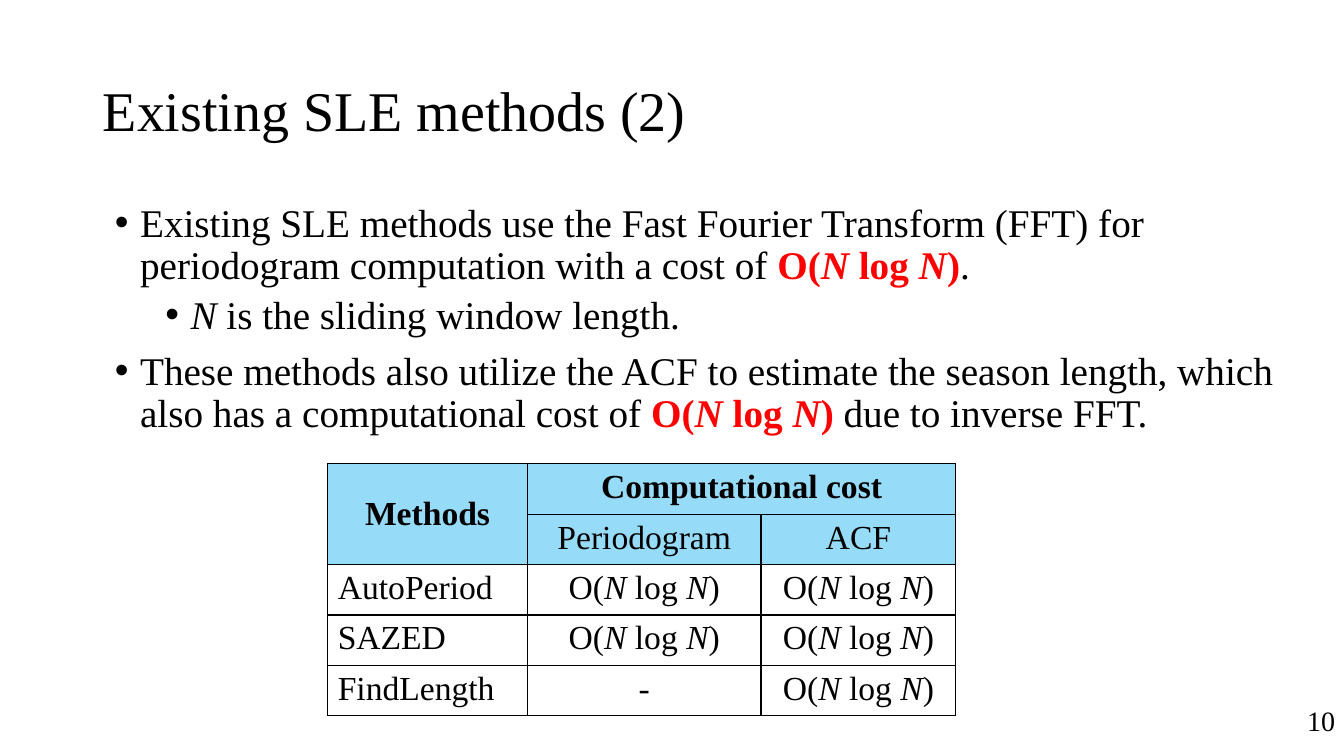
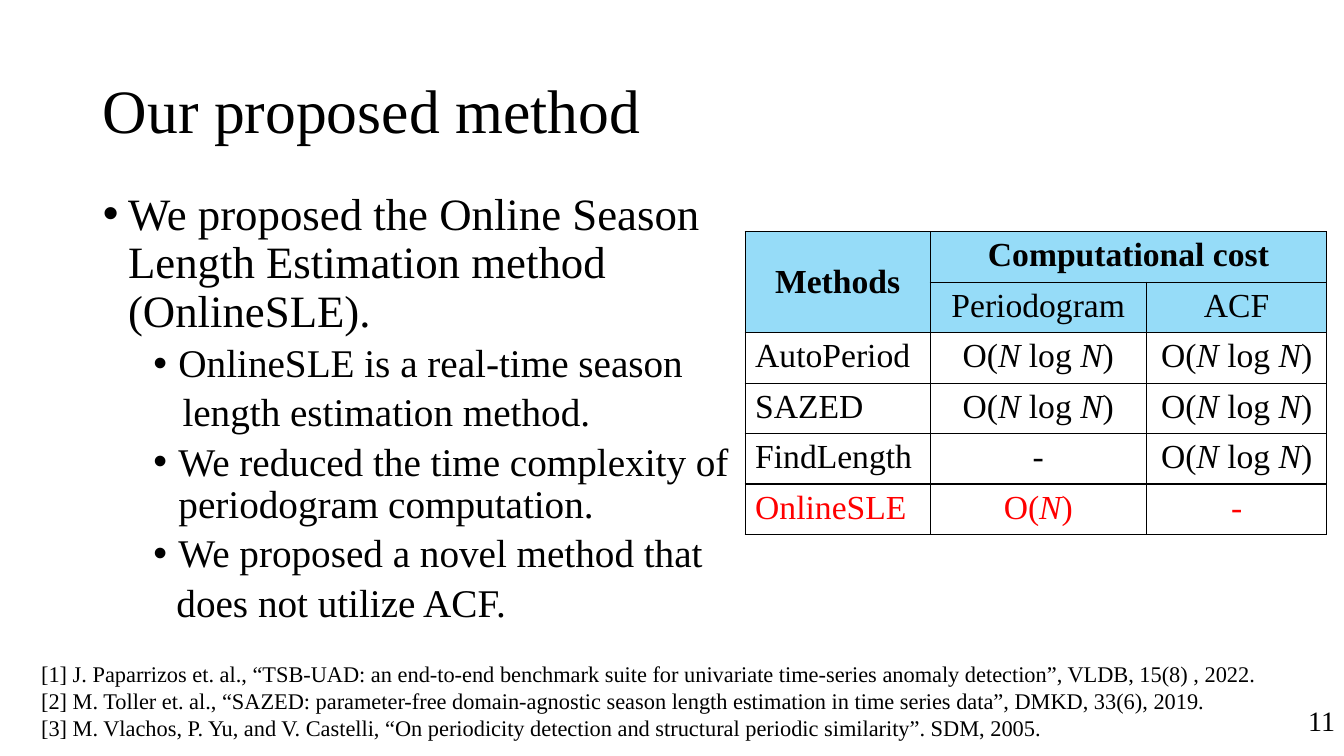
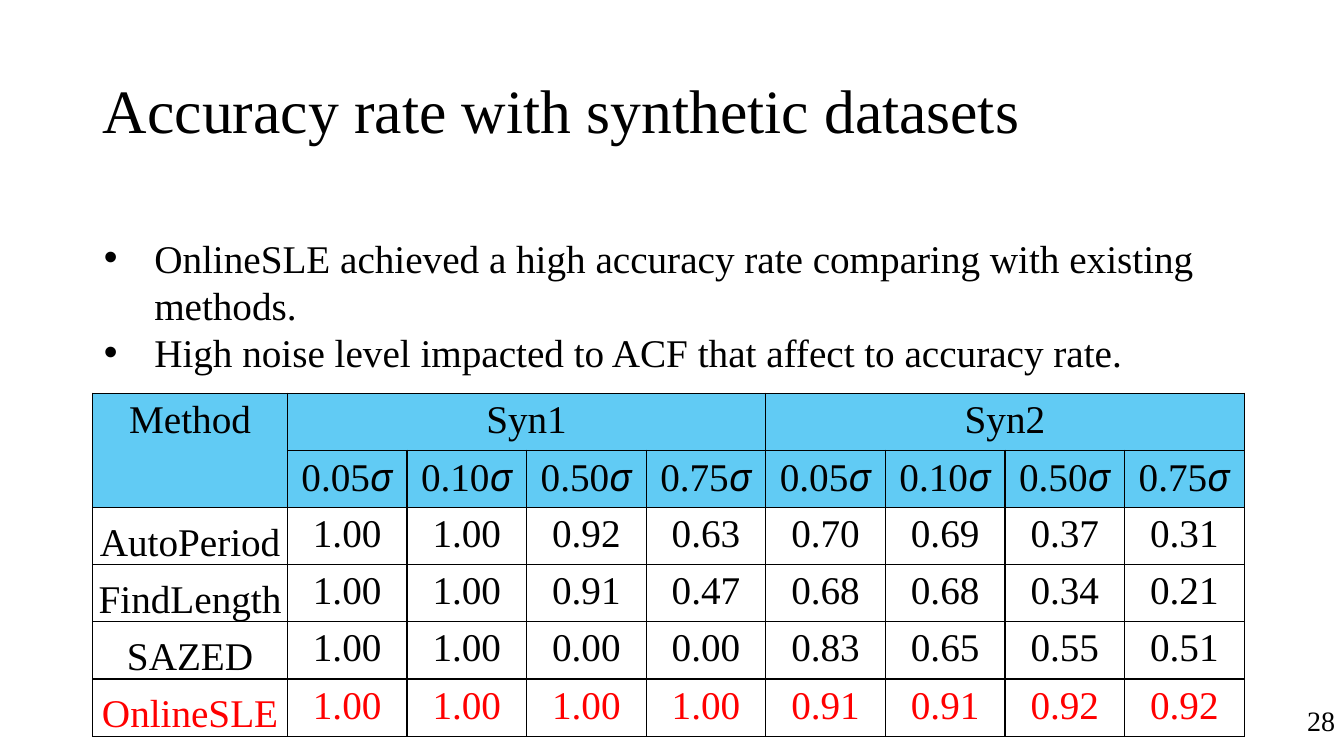
from pptx import Presentation
from pptx.dml.color import RGBColor
from pptx.enum.text import MSO_ANCHOR as Anchor, MSO_AUTO_SIZE as Auto, PP_ALIGN as Align
from pptx.oxml import parse_xml
from pptx.oxml.ns import nsdecls
from pptx.util import Pt

UNIT = 9144
FONT, GREEK = "Times New Roman", "Karla"
BLACK, RED, WHITE = "000000", "FF0000", "FFFFFF"
PALE, SKY = "96DCF8", "61CBF4"
TITLE = (92, 40, 1150, 145)
PAGE = (1147, 710, 187, 40)


def px(n):
    """Turn px into EMU."""
    return round(n * UNIT)


def color(code):
    """Turn a hex string into a colour."""
    return RGBColor.from_string(code)


def put(shape, box):
    """Move a shape to its box."""
    shape.left, shape.top, shape.width, shape.height = map(px, box)


def write(par, runs, size):
    """Add runs of (text, flags): b bold, i italic, r red, g Greek font."""
    for text, flags in [(runs, "")] if isinstance(runs, str) else runs:
        run = par.add_run()
        run.text = text
        font = run.font
        font.size = Pt(size)
        font.name = GREEK if "g" in flags else FONT
        font.bold, font.italic = "b" in flags, "i" in flags
        font.color.rgb = color(RED if "r" in flags else BLACK)


def lines(frame):
    """Yield the first paragraph, then new ones."""
    yield frame.paragraphs[0]
    while True:
        yield frame.add_paragraph()


def cost(flags=""):
    """Give the runs of the N log N cost."""
    return [("O(", flags), ("N", flags + "i"), (" log ", flags),
            ("N", flags + "i"), (")", flags)]


def bullet(par, left, hang, mark):
    """Set the indents and the bullet of a paragraph."""
    props = par._p.get_or_add_pPr()
    props.set("marL", str(px(left)))
    props.set("indent", str(px(hang)))
    if mark:
        props.append(parse_xml(f'<a:buFont {nsdecls("a")} typeface="Arial"/>'))
        props.append(parse_xml(f'<a:buChar {nsdecls("a")} char="•"/>'))
    else:
        props.append(parse_xml(f'<a:buNone {nsdecls("a")}/>'))


def start(prs, title, size, page):
    """Add a slide with its title and page number."""
    slide = prs.slides.add_slide(prs.slide_layouts[1])
    head = slide.shapes.title
    put(head, TITLE)
    frame = head.text_frame
    frame.auto_size, frame.vertical_anchor = Auto.NONE, Anchor.MIDDLE
    par = frame.paragraphs[0]
    par.alignment, par.line_spacing = Align.LEFT, 0.9
    write(par, title, size)
    frame = label(slide, PAGE, [page], 20)
    frame.vertical_anchor = Anchor.MIDDLE
    frame.paragraphs[0].alignment = Align.RIGHT
    return slide


def label(slide, box, texts, size):
    """Add a text box with one paragraph for each text."""
    frame = slide.shapes.add_textbox(*map(px, box)).text_frame
    frame.word_wrap = True
    for par, text in zip(lines(frame), texts):
        write(par, text, size)
    return frame


def points(slide, box, items, space=0.9, gaps=(10, 5)):
    """Fill the body with items of (level, left, hang, mark, size, runs)."""
    body = slide.placeholders[1]
    put(body, box)
    frame = body.text_frame
    frame.auto_size = Auto.NONE
    pairs = zip(items, lines(frame))
    for k, ((level, left, hang, mark, size, runs), par) in enumerate(pairs):
        par.level, par.line_spacing = level, space
        par.space_before = Pt(gaps[level] if k else 0)
        bullet(par, left, hang, mark)
        write(par, runs, size)


def border(cell):
    """Draw a black line on each side of a cell."""
    props = cell._tc.get_or_add_tcPr()
    for side in "LRTB":
        props.append(parse_xml(
            f'<a:ln{side} {nsdecls("a")} w="12700"><a:solidFill>'
            f'<a:srgbClr val="{BLACK}"/></a:solidFill></a:ln{side}>'))


def grid(slide, box, wide, high, rows, spans, size, fill):
    """Add a centred table with two filled head rows."""
    left, top, width, _ = box
    frame = slide.shapes.add_table(len(rows), len(wide), px(left), px(top),
                                   px(width), px(high * len(rows)))
    table = frame.table
    table.first_row = table.horz_banding = False
    for col, share in zip(table.columns, wide):
        col.width = px(share)
    for r, row in enumerate(rows):
        table.rows[r].height = px(high)
        for c, runs in enumerate(row):
            cell = table.cell(r, c)
            border(cell)
            cell.fill.solid()
            cell.fill.fore_color.rgb = color(fill if r < 2 else WHITE)
            par = cell.text_frame.paragraphs[0]
            par.alignment = Align.CENTER
            if runs:
                write(par, runs, size)
    for r, c, down, along in spans:
        table.cell(r, c).merge(table.cell(down, along))
    return table


def costs(slide, box, extra=()):
    """Add the table of computational costs."""
    rows = [[[("Methods", "b")], [("Computational cost", "b")], None],
            [None, "Periodogram", "ACF"],
            ["AutoPeriod", cost(), cost()],
            ["SAZED", cost(), cost()],
            ["FindLength", "-", cost()], *extra]
    wide = [box[2] * share for share in (0.318, 0.372, 0.31)]
    table = grid(slide, box, wide, 41, rows,
                 [(0, 0, 1, 0), (0, 1, 0, 2)], 24, PALE)
    table.cell(0, 0).vertical_anchor = Anchor.MIDDLE
    for r in range(2, len(rows)):
        table.cell(r, 0).text_frame.paragraphs[0].alignment = Align.LEFT


def rates(slide, box, data):
    """Add the table of accuracy rates."""
    levels = [[(n, ""), ("σ", "gi")] for n in ("0.05", "0.10", "0.50", "0.75")]
    gap = [None] * 3
    rows = [["Method", "Syn1", *gap, "Syn2", *gap], [None, *levels * 2]]
    for name, nums in data:
        flag = "r" if name == "OnlineSLE" else ""
        rows.append([[(text, flag)] for text in (name, *nums.split())])
    first = 193
    wide = [first] + [(box[2] - first) / 8] * 8
    table = grid(slide, box, wide, 50, rows,
                 [(0, 0, 1, 0), (0, 1, 0, 4), (0, 5, 0, 8)], 28, SKY)
    for r in range(2, len(rows)):
        cell = table.cell(r, 0)
        cell.vertical_anchor = Anchor.BOTTOM
        cell.margin_left = cell.margin_right = cell.margin_top = px(1)
        cell.margin_bottom = 0


def existing(prs):
    """Build the slide on existing methods."""
    slide = start(prs, "Existing SLE methods (2)", 40, "10")
    points(slide, (104, 197, 1170, 422), [
        (0, 25, -25, True, 28, [
            ("Existing SLE methods use the Fast Fourier Transform (FFT) for "
             "periodogram computation with a cost of ", ""),
            *cost("br"), (".", "")]),
        (1, 75, -25, True, 28,
         [("N", "i"), (" is the sliding window length.", "")]),
        (0, 25, -25, True, 28, [
            ("These methods also utilize the ACF to estimate the season "
             "length, which also has a computational cost of ", ""),
            *cost("br"), (" due to inverse FFT.", "")])])
    costs(slide, (325, 460, 623, 250))


def proposed(prs):
    """Build the slide on the proposed method."""
    slide = start(prs, "Our proposed method", 44, "11")
    points(slide, (92, 185, 667, 476), [
        (0, 25, -25, True, 32, "We proposed the Online Season Length "
                               "Estimation method (OnlineSLE)."),
        (1, 75, -25, True, 28, "OnlineSLE is a real-time season"),
        (1, 79, 0, False, 28, "length estimation method."),
        (1, 75, -25, True, 28, "We reduced the time complexity of "
                               "periodogram computation."),
        (1, 75, -25, True, 28, "We proposed a novel method that"),
        (1, 79, -6, False, 28, "does not utilize ACF.")])
    ours = [[("OnlineSLE", "r")], [("O(", "r"), ("N", "ri"), (")", "r")],
            [("-", "r")]]
    costs(slide, (739, 230, 577, 300), [ours])
    label(slide, (31, 650, 1266, 91), [
        "[1] J. Paparrizos et. al., “TSB-UAD: an end-to-end benchmark suite "
        "for univariate time-series anomaly detection”, VLDB, 15(8) , 2022.",
        "[2] M. Toller et. al., “SAZED: parameter-free domain-agnostic season "
        "length estimation in time series data”, DMKD, 33(6), 2019.",
        "[3] M. Vlachos, P. Yu, and V. Castelli, “On periodicity detection "
        "and structural periodic similarity”. SDM, 2005."], 16)


def accuracy(prs):
    """Build the slide on accuracy rates."""
    slide = start(prs, "Accuracy rate with synthetic datasets", 44, "28")
    points(slide, (93, 227, 1177, 387), [
        (0, 50, -50, True, 28, "OnlineSLE achieved a high accuracy rate "
                               "comparing with existing methods."),
        (0, 50, -50, True, 28, "High noise level impacted to ACF that affect "
                               "to accuracy rate.")], 1.0, (0, 0))
    rates(slide, (92, 390, 1142, 340), [
        ("AutoPeriod", "1.00 1.00 0.92 0.63 0.70 0.69 0.37 0.31"),
        ("FindLength", "1.00 1.00 0.91 0.47 0.68 0.68 0.34 0.21"),
        ("SAZED", "1.00 1.00 0.00 0.00 0.83 0.65 0.55 0.51"),
        ("OnlineSLE", "1.00 1.00 1.00 1.00 0.91 0.91 0.92 0.92")])


def main():
    """Build and save the slides."""
    prs = Presentation()
    prs.slide_width, prs.slide_height = px(1333), px(750)
    for build in (existing, proposed, accuracy):
        build(prs)
    prs.save("out.pptx")


if __name__ == "__main__":
    main()
